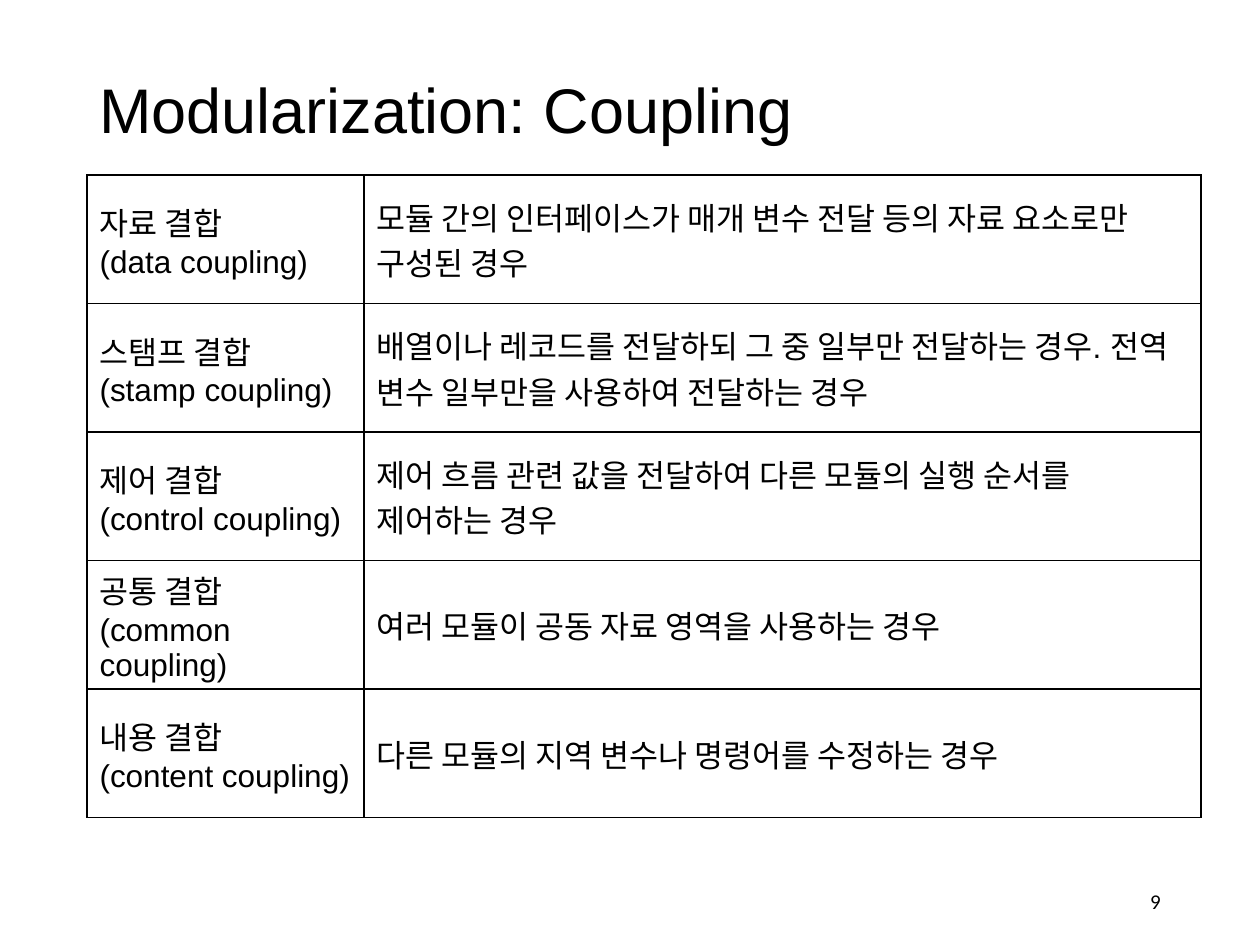
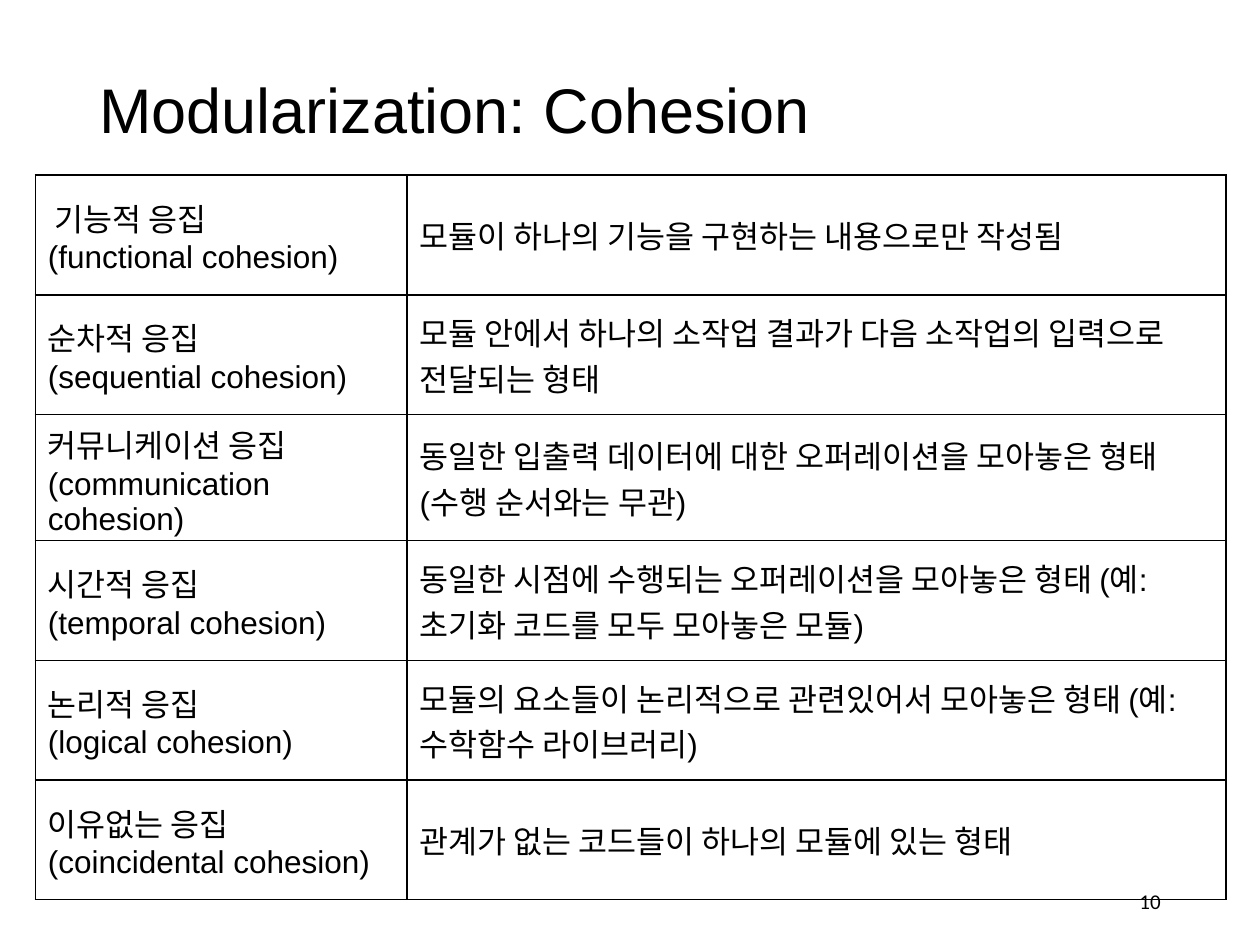
from dataclasses import dataclass

from lxml.etree import SubElement
from pptx import Presentation
from pptx.dml.color import RGBColor
from pptx.enum.text import MSO_ANCHOR, PP_ALIGN
from pptx.oxml.ns import qn
from pptx.util import Inches, Pt


@dataclass(frozen=True)
class Theme:
    """Colours, fonts and sizes shared by the slides."""
    ink: str = "000000"
    paper: str = "FFFFFF"
    font: str = "Arial"
    number_font: str = "Calibri"
    title_size: int = 36
    cell_size: int = 18
    number_size: int = 12
    border: float = 1


THEME = Theme()
TITLE_BOX = (0.69, 0.4, 8.62, 0.99)
NUMBER_BOX = (7.06, 6.95, 2.25, 0.4)
TABLE_TOP = 1.39

COUPLING = [
    ("자료 결합\n(data coupling)", "모듈 간의 인터페이스가 매개 변수 전달 등의 자료 요소로만 구성된 경우"),
    ("스탬프 결합\v(stamp coupling)",
     "배열이나 레코드를 전달하되 그 중 일부만 전달하는 경우. 전역 변수 일부만을 사용하여 전달하는 경우"),
    ("제어 결합\n(control coupling)", "제어 흐름 관련 값을 전달하여 다른 모듈의 실행 순서를 제어하는 경우"),
    ("공통 결합\v(common coupling)", "여러 모듈이 공동 자료 영역을 사용하는 경우"),
    ("내용 결합\v(content coupling)", "다른 모듈의 지역 변수나 명령어를 수정하는 경우"),
]
COHESION = [
    (" 기능적 응집\n(functional cohesion)", "모듈이 하나의 기능을 구현하는 내용으로만 작성됨"),
    ("순차적 응집\n(sequential cohesion)", "모듈 안에서 하나의 소작업 결과가 다음 소작업의 입력으로 전달되는 형태"),
    ("커뮤니케이션 응집\v(communication cohesion)",
     "동일한 입출력 데이터에 대한 오퍼레이션을 모아놓은 형태 (수행 순서와는 무관)"),
    ("시간적 응집\n(temporal cohesion)",
     "동일한 시점에 수행되는 오퍼레이션을 모아놓은 형태 (예: 초기화 코드를 모두 모아놓은 모듈)"),
    ("논리적 응집\n(logical cohesion)",
     "모듈의 요소들이 논리적으로 관련있어서 모아놓은 형태 (예: 수학함수 라이브러리)"),
    ("이유없는 응집\n(coincidental cohesion)", "관계가 없는 코드들이 하나의 모듈에 있는 형태"),
]


def write_text(frame, text, size, font=THEME.font, align=PP_ALIGN.LEFT, spacing=None):
    """Fill a text frame with formatted paragraphs."""
    frame.word_wrap = True
    frame.text = text
    for paragraph in frame.paragraphs:
        paragraph.alignment = align
        paragraph.line_spacing = spacing
        for run in paragraph.runs:
            run.font.name = font
            run.font.size = Pt(size)
            run.font.color.rgb = RGBColor.from_string(THEME.ink)


def add_text_box(slide, box, text, **text_format):
    """Place vertically centred text in a box."""
    shape = slide.shapes.add_textbox(*map(Inches, box))
    shape.text_frame.vertical_anchor = MSO_ANCHOR.MIDDLE
    write_text(shape.text_frame, text, **text_format)


def draw_borders(cell):
    """Draw a solid line on all four sides of a cell."""
    properties = cell._tc.get_or_add_tcPr()
    for side in ("a:lnL", "a:lnR", "a:lnT", "a:lnB"):
        line = SubElement(properties, qn(side), w=str(Pt(THEME.border)))
        fill = SubElement(line, qn("a:solidFill"))
        SubElement(fill, qn("a:srgbClr"), val=THEME.ink)


def add_definition_table(slide, left, top, column_widths, row_height, rows):
    """Draw a ruled table of terms and their definitions."""
    width, height = sum(column_widths), row_height * len(rows)
    frame = slide.shapes.add_table(len(rows), len(column_widths),
                                   *map(Inches, (left, top, width, height)))
    table = frame.table
    table.first_row = table.horz_banding = False
    for column, column_width in zip(table.columns, column_widths):
        column.width = Inches(column_width)
    for table_row, texts in zip(table.rows, rows):
        table_row.height = Inches(row_height)
        for cell, text in zip(table_row.cells, texts):
            draw_borders(cell)
            cell.fill.background()
            cell.vertical_anchor = MSO_ANCHOR.MIDDLE
            write_text(cell.text_frame, text, size=THEME.cell_size)


def add_definition_slide(presentation, title, number, **table_layout):
    """Add a slide with a title, a definition table and a page number."""
    slide = presentation.slides.add_slide(presentation.slide_layouts[6])
    slide.background.fill.solid()
    slide.background.fill.fore_color.rgb = RGBColor.from_string(THEME.paper)
    add_text_box(slide, TITLE_BOX, title, size=THEME.title_size, spacing=0.9)
    add_definition_table(slide, top=TABLE_TOP, **table_layout)
    add_text_box(slide, NUMBER_BOX, str(number), size=THEME.number_size,
                 font=THEME.number_font, align=PP_ALIGN.RIGHT)


def main():
    """Build and save the presentation."""
    presentation = Presentation()
    presentation.slide_width, presentation.slide_height = Inches(10), Inches(7.5)
    add_definition_slide(presentation, "Modularization: Coupling", 9, left=0.69,
                         column_widths=(2.2, 6.64), row_height=1.02, rows=COUPLING)
    add_definition_slide(presentation, "Modularization: Cohesion", 10, left=0.28,
                         column_widths=(2.95, 6.5), row_height=0.95, rows=COHESION)
    presentation.save("out.pptx")


if __name__ == "__main__":
    main()
